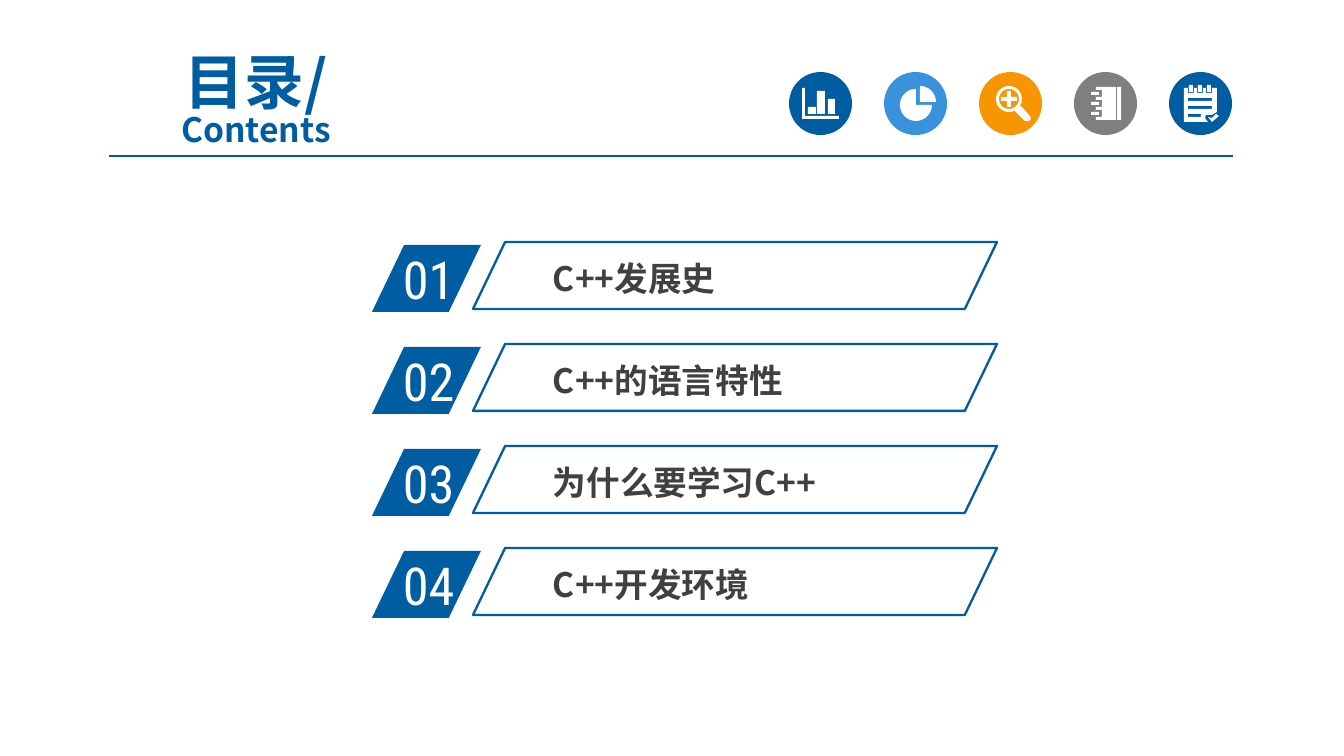
import math

import lxml.etree
import pptx
import pptx.dml.color
import pptx.enum.shapes
import pptx.enum.text
import pptx.oxml.ns
import pptx.util

SCALE = 914400 / 134.4
COLORS = {
    "blue": "005DA2",
    "rule": "005B9E",
    "sky": "3992DB",
    "orange": "F79600",
    "gray": "7F7F7F",
    "text": "404040",
    "white": "FFFFFF",
}
CJK_FONT = "Noto Sans CJK SC"
NUMBER_FONT = "Roboto Condensed"
SHAPES = pptx.enum.shapes.MSO_SHAPE
TOPICS = ["C++发展史", "C++的语言特性", "为什么要学习C++", "C++开发环境"]


def px(value):
    return pptx.util.Emu(round(value * SCALE))


def color(name):
    return pptx.dml.color.RGBColor.from_string(COLORS[name])


def box(left, top, right, bottom):
    return [(left, top), (right, top), (right, bottom), (left, bottom)]


def hole(contour):
    return contour[::-1]


def arc(x, y, radius, start=0, end=360):
    angles = [math.radians(start + (end - start) * step / 36) for step in range(37)]
    return [(x + radius * math.cos(a), y + radius * math.sin(a)) for a in angles]


def bars_icon():
    axes = [(13, 16), (16, 16), (16, 44), (50, 44), (50, 47), (13, 47)]
    return [axes, box(19, 35, 27, 42), box(28, 19, 36, 42), box(39, 27, 46, 42)]


def pie_icon():
    return [[(36, 30)] + arc(36, 30, 16, -90, 0), [(32, 33)] + arc(32, 33, 16, 0, 270)]


def magnifier_icon():
    plus = [(22, 25), (28, 25), (28, 19), (32, 19), (32, 25), (38, 25),
            (38, 29), (32, 29), (32, 35), (28, 35), (28, 29), (22, 29)]
    handle = [(36, 39), (42, 34), (51, 44), (52, 47), (50, 49), (46, 49)]
    return [arc(30, 27, 13), hole(arc(30, 27, 10)), plus, handle]


def notebook_icon():
    contours = [box(22, 15, 42, 48), box(43, 15, 47, 48)]
    for top in (18, 28, 38):
        contours += [hole(box(22, top, 28, top + 7)), box(17, top + 2, 25, top + 5)]
    return contours


def checklist_icon():
    page = [(15, 16), (48, 16), (48, 40), (43, 43), (37, 43), (36, 46), (39, 50), (15, 50)]
    tick = [(39, 45), (43, 46), (47, 42), (50, 44), (43, 50)]
    contours = [page, tick]
    for left in (19, 28, 37):
        contours += [hole(box(left, 16, left + 6, 21)), box(left + 1, 13, left + 5, 20)]
    for top, right in ((26, 43), (34, 43), (42, 32)):
        contours.append(hole(box(19, top, right, top + 3)))
    return contours


class Deck:
    def __init__(self, width, height):
        self.presentation = pptx.Presentation()
        self.presentation.slide_width = px(width)
        self.presentation.slide_height = px(height)
        self.slide = self.presentation.slides.add_slide(self.presentation.slide_layouts[5])

    def style(self, paragraph, size, color_name, font_name, bold=False):
        font = paragraph.font
        font.size = pptx.util.Pt(size)
        font.bold = bold
        font.name = font_name
        font.color.rgb = color(color_name)
        properties = paragraph._p.pPr.find(pptx.oxml.ns.qn("a:defRPr"))
        lxml.etree.SubElement(properties, pptx.oxml.ns.qn("a:ea"), typeface=font_name)

    def title(self, heading, subheading, left, top, width, height):
        shape = self.slide.shapes.title
        shape.left, shape.top, shape.width, shape.height = map(px, (left, top, width, height))
        frame = shape.text_frame
        frame.auto_size = pptx.enum.text.MSO_AUTO_SIZE.NONE
        frame.vertical_anchor = pptx.enum.text.MSO_ANCHOR.MIDDLE
        frame.margin_top = px(15)
        paragraph = frame.paragraphs[0]
        paragraph.alignment = pptx.enum.text.PP_ALIGN.CENTER
        paragraph.line_spacing = 0.8
        self.style(paragraph, 32, "blue", CJK_FONT, True)
        paragraph.add_run().text = heading
        paragraph.add_line_break()
        run = paragraph.add_run()
        run.text = subheading
        run.font.size = pptx.util.Pt(18)

    def text(self, text, left, top, width, height, size, color_name, font_name,
             bold=False, margins=(13, 7)):
        shape = self.slide.shapes.add_textbox(*map(px, (left, top, width, height)))
        frame = shape.text_frame
        frame.word_wrap = True
        frame.auto_size = pptx.enum.text.MSO_AUTO_SIZE.SHAPE_TO_FIT_TEXT
        frame.margin_left = frame.margin_right = px(margins[0])
        frame.margin_top = frame.margin_bottom = px(margins[1])
        frame.text = text
        self.style(frame.paragraphs[0], size, color_name, font_name, bold)

    def paint(self, shape, fill=None, line=None):
        shape.shadow.inherit = False
        if fill:
            shape.fill.solid()
            shape.fill.fore_color.rgb = color(fill)
        else:
            shape.fill.background()
        if line:
            shape.line.color.rgb = color(line)
            shape.line.width = pptx.util.Pt(1.25)
        else:
            shape.line.fill.background()

    def shape(self, kind, left, top, width, height, fill=None, line=None, adjustment=None):
        shape = self.slide.shapes.add_shape(kind, *map(px, (left, top, width, height)))
        if adjustment is not None:
            shape.adjustments[0] = adjustment
        self.paint(shape, fill, line)

    def glyph(self, contours, left, top, fill):
        outlines = [[(px(left + x), px(top + y)) for x, y in contour] for contour in contours]
        builder = self.slide.shapes.build_freeform(*outlines[0][0])
        for outline in outlines:
            builder.move_to(*outline[0])
            builder.add_line_segments(outline[1:], close=True)
        self.paint(builder.convert_to_shape(), fill)

    def rule(self, left, right, y):
        connector = self.slide.shapes.add_connector(
            pptx.enum.shapes.MSO_CONNECTOR.STRAIGHT, px(left), px(y), px(right), px(y))
        connector.line.color.rgb = color("rule")
        connector.line.width = pptx.util.Pt(0.75)
        lxml.etree.SubElement(connector._element.spPr, pptx.oxml.ns.qn("a:effectLst"))


def main():
    deck = Deck(1344, 756)
    deck.title("目录/", "Contents", 90, 63, 332, 73)
    deck.rule(109, 1233, 156)

    icons = [("blue", bars_icon), ("sky", pie_icon), ("orange", magnifier_icon),
             ("gray", notebook_icon), ("blue", checklist_icon)]
    for index, (fill, icon) in enumerate(icons):
        left = 789 + 95 * index
        deck.shape(SHAPES.OVAL, left, 72, 63, 63, fill)
        deck.glyph(icon(), left, 72, "white")

    for index, topic in enumerate(TOPICS):
        top = 245 + 102 * index
        deck.shape(SHAPES.PARALLELOGRAM, 372, top, 109, 67, fill="blue", adjustment=0.48)
        deck.text(f"{index + 1:02}", 390, top - 5, 105, 66, 28, "white", NUMBER_FONT)
        deck.text(topic, 544, top + 8, 384, 51, 18, "text", CJK_FONT, True, (9, 5))
        deck.shape(SHAPES.PARALLELOGRAM, 473, top - 3, 524, 67, line="blue", adjustment=0.48)

    deck.presentation.save("out.pptx")


if __name__ == "__main__":
    main()
